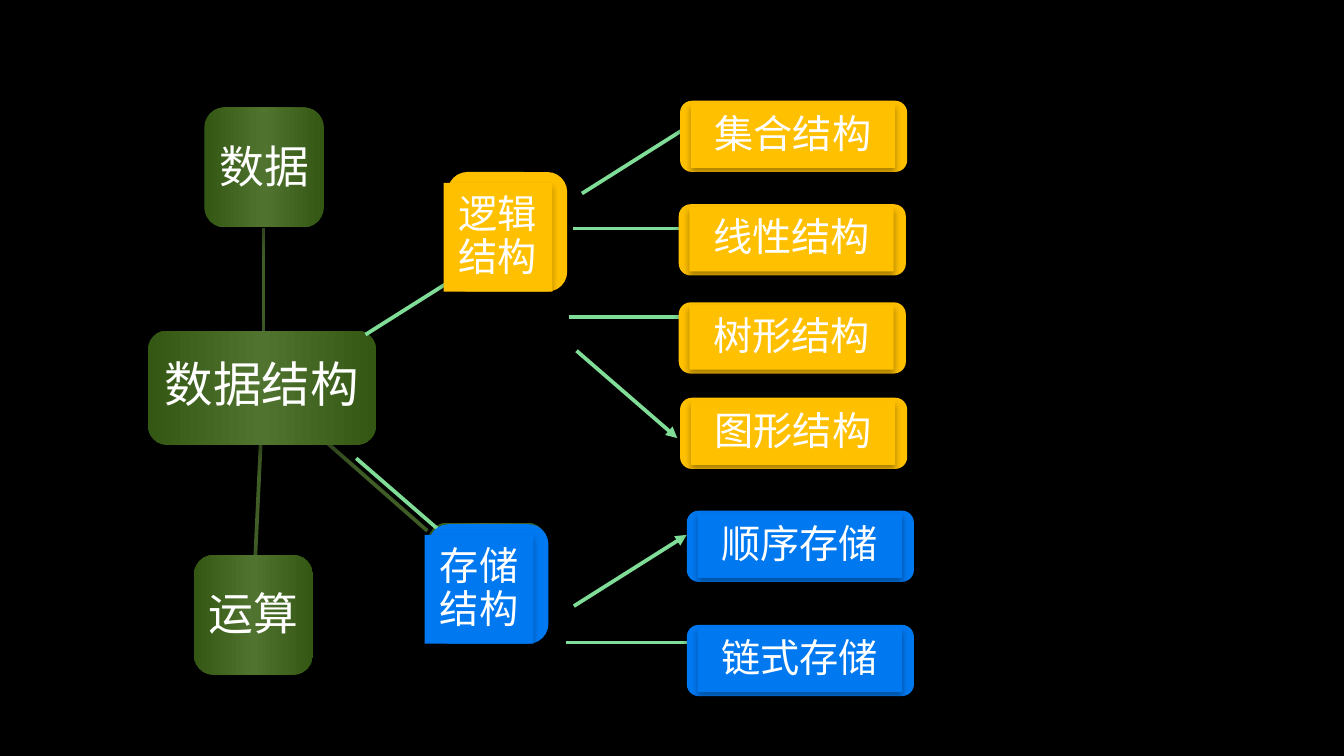
"""Build a mind map of data structure concepts on one black slide."""
from pptx import Presentation
from pptx.dml.color import RGBColor
from pptx.enum.shapes import MSO_CONNECTOR as Connector, MSO_SHAPE as Shape
from pptx.enum.text import MSO_ANCHOR as Anchor, PP_ALIGN as Align
from pptx.oxml import parse_xml
from pptx.oxml.ns import nsdecls
from pptx.util import Inches, Pt

SLIDE_WIDTH = 10
SLIDE_HEIGHT = SLIDE_WIDTH * 9 / 16

THEME = {
    "font": "Noto Sans CJK SC", "background": "000000", "text": "FFFFFF",
    "core": ("345714", "50742F", "345714"), "logic": "FFC000", "storage": "0078F0",
    "core_line": "405D26", "branch_line": "7FDD97", "line_width": 2,
    "root_size": 26, "core_size": 24, "branch_size": 21,
}
CORE_SHADOW = {"alpha": 36, "blur": 15, "distance": 6.2, "angle": 45}
BRANCH_SHADOW = {"alpha": 32, "blur": 3.5, "distance": 2.2, "angle": 90}

KINDS = {
    "root": {"size": (1.7, 0.85), "offset": (0.04, 0.04), "inner": (1.62, 0.76), "points": THEME["root_size"]},
    "core": {"size": (0.89, 0.89), "offset": (0.04, 0.05), "inner": (0.81, 0.81), "points": THEME["core_size"]},
    "branch": {"size": (0.89, 0.89), "offset": (-0.03, 0.08), "inner": (0.81, 0.81), "points": THEME["branch_size"]},
    "leaf": {"size": (1.69, 0.53), "offset": (0.08, 0.02), "inner": (1.52, 0.48), "points": THEME["branch_size"]},
}

CORE_NODES = [
    ("数据结构", "root", 1.1, 2.46),
    ("数据", "core", 1.52, 0.8),
    ("", "core", 3.18, 3.89),
    ("运算", "core", 1.44, 4.13),
]
BRANCH_NODES = [
    ("逻辑结构", "branch", "logic", 3.33, 1.28),
    ("图形结构", "leaf", "logic", 5.06, 2.96),
    ("树形结构", "leaf", "logic", 5.05, 2.25),
    ("线性结构", "leaf", "logic", 5.05, 1.52),
    ("集合结构", "leaf", "logic", 5.06, 0.75),
    ("链式存储", "leaf", "storage", 5.11, 4.65),
    ("顺序存储", "leaf", "storage", 5.11, 3.8),
    ("存储结构", "branch", "storage", 3.19, 3.9),
]
CORE_LINES = [(1.96, 2.46, 1.96, 1.7), (2.44, 3.3, 3.18, 3.95), (1.94, 3.3, 1.9, 4.13)]
BRANCH_ARROWS = [
    (2.72, 2.49, 3.56, 1.96), (4.29, 2.61, 5.04, 3.26), (4.23, 2.36, 5.22, 2.36),
    (4.26, 1.7, 5.25, 1.7), (4.33, 1.44, 5.17, 0.91), (4.21, 4.78, 5.21, 4.78),
    (4.27, 4.51, 5.11, 3.98), (2.65, 3.41, 3.4, 4.06),
]


def add_line(slide, ends, color, arrow=False):
    line = slide.shapes.add_connector(Connector.STRAIGHT, *map(Inches, ends))
    line.line.color.rgb = RGBColor.from_string(color)
    line.line.width = Pt(THEME["line_width"])
    if arrow:
        line.line._get_or_add_ln().append(parse_xml(f'<a:tailEnd {nsdecls("a")} type="triangle"/>'))
    line._element.spPr.append(parse_xml(f'<a:effectLst {nsdecls("a")}/>'))


def add_shadow(shape, alpha, blur, distance, angle):
    shape.shadow.inherit = False
    shape._element.spPr.effectLst.append(parse_xml(
        f'<a:outerShdw {nsdecls("a")} blurRad="{Pt(blur)}" dist="{Pt(distance)}" dir="{angle * 60000}" '
        f'algn="ctr" rotWithShape="0"><a:srgbClr val="000000"><a:alpha val="{alpha * 1000}"/>'
        '</a:srgbClr></a:outerShdw>'))


def add_panel(slide, preset, box, fill, shadow):
    shape = slide.shapes.add_shape(preset, *map(Inches, box))
    shape.line.fill.background()
    if isinstance(fill, tuple):
        shape.fill.gradient()
        shape.fill.gradient_angle = 0
        stops = shape._element.spPr.gradFill.gsLst
        for stop in list(stops):
            stops.remove(stop)
        for index, color in enumerate(fill):
            stops.append(parse_xml(f'<a:gs {nsdecls("a")} pos="{index * 50000}">'
                                   f'<a:srgbClr val="{color}"/></a:gs>'))
    else:
        shape.fill.solid()
        shape.fill.fore_color.rgb = RGBColor.from_string(fill)
    add_shadow(shape, **shadow)
    return shape


def write_text(shape, text, size, inset):
    frame = shape.text_frame
    frame.word_wrap = True
    frame.vertical_anchor = Anchor.MIDDLE
    frame.margin_left = frame.margin_right = frame.margin_top = frame.margin_bottom = Inches(inset)
    paragraph = frame.paragraphs[0]
    paragraph.alignment = Align.CENTER
    paragraph.line_spacing = 0.9
    run = paragraph.add_run()
    run.text = text
    run.font.size = Pt(size)
    run.font.name = THEME["font"]
    run.font.color.rgb = RGBColor.from_string(THEME["text"])
    run._r.get_or_add_rPr().append(parse_xml(f'<a:ea {nsdecls("a")} typeface="{THEME["font"]}"/>'))


def add_node(slide, text, kind, left, top, palette="core"):
    style = KINDS[kind]
    is_core = palette == "core"
    shadow = CORE_SHADOW if is_core else BRANCH_SHADOW
    add_panel(slide, Shape.ROUNDED_RECTANGLE, (left, top, *style["size"]), THEME[palette], shadow)
    if not text:
        return
    box = (left + style["offset"][0], top + style["offset"][1], *style["inner"])
    if is_core:
        label = slide.shapes.add_textbox(*map(Inches, box))
    else:
        label = add_panel(slide, Shape.RECTANGLE, box, THEME[palette], shadow)
    write_text(label, text, style["points"], 0.07 if is_core else 0.06)


def main():
    presentation = Presentation()
    presentation.slide_width = Inches(SLIDE_WIDTH)
    presentation.slide_height = Inches(SLIDE_HEIGHT)
    slide = presentation.slides.add_slide(presentation.slide_layouts[6])
    slide.background.fill.solid()
    slide.background.fill.fore_color.rgb = RGBColor.from_string(THEME["background"])
    for ends in CORE_LINES:
        add_line(slide, ends, THEME["core_line"])
    for text, kind, left, top in CORE_NODES:
        add_node(slide, text, kind, left, top)
    for ends in BRANCH_ARROWS:
        add_line(slide, ends, THEME["branch_line"], arrow=True)
    for text, kind, palette, left, top in BRANCH_NODES:
        add_node(slide, text, kind, left, top, palette)
    presentation.save("out.pptx")


if __name__ == "__main__":
    main()
